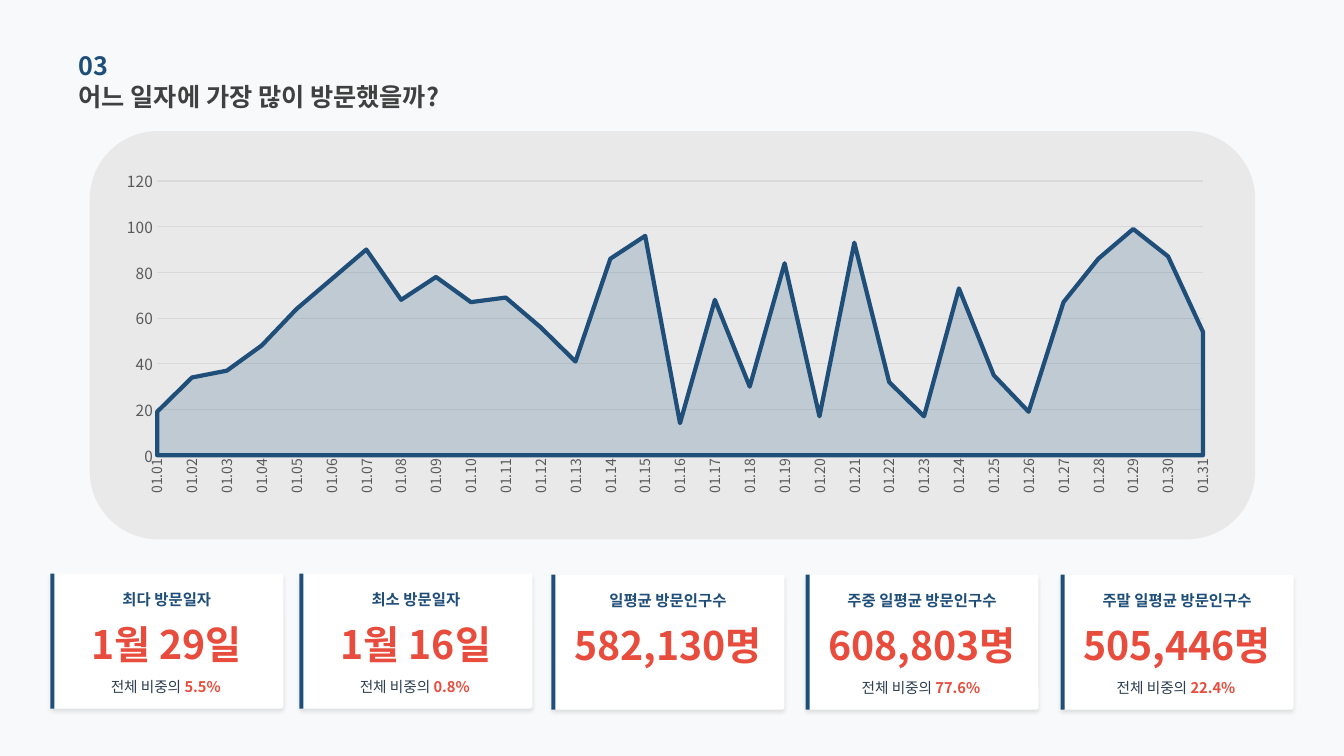
"""Build the slide on daily visitor numbers in January."""
from dataclasses import dataclass

from lxml.etree import SubElement
from pptx import Presentation
from pptx.chart.data import CategoryChartData
from pptx.dml.color import RGBColor
from pptx.enum.chart import XL_CHART_TYPE as CHART, XL_TICK_MARK as TICK
from pptx.enum.shapes import MSO_SHAPE as SHAPE
from pptx.enum.text import MSO_ANCHOR as ANCHOR, PP_ALIGN as ALIGN
from pptx.oxml import parse_xml
from pptx.oxml.ns import nsdecls, qn
from pptx.util import Inches, Pt

FONT = "Noto Sans CJK KR"
PAPER = RGBColor(0xF8, 0xF9, 0xFA)
WHITE = RGBColor(0xFF, 0xFF, 0xFF)
PANEL = RGBColor(0xD0, 0xCE, 0xCE)
NAVY = RGBColor(0x1F, 0x4E, 0x79)
RED = RGBColor(0xE7, 0x4C, 0x3C)
SLATE = RGBColor(0x2C, 0x3E, 0x50)
DARK = RGBColor(0x40, 0x40, 0x40)
GREY = RGBColor(0x59, 0x59, 0x59)
RULE = RGBColor(0xD9, 0xD9, 0xD9)
CARD_W, CARD_H = 2.31, 1.34
VISITS = (19, 34, 37, 48, 64, 77, 90, 68, 78, 67, 69, 56, 41, 86, 96, 14,
          68, 30, 84, 17, 93, 32, 17, 73, 35, 19, 67, 86, 99, 87, 54)


@dataclass
class Card:
    left: float
    top: float
    caption: str
    value: str
    share: str = ""


CARDS = (
    Card(0.5, 5.69, "최다 방문일자", "1월 29일", "5.5% "),
    Card(2.97, 5.69, "최소 방문일자", "1월 16일", "0.8% "),
    Card(5.47, 5.7, "일평균 방문인구수", "582,130명"),
    Card(7.99, 5.7, "주중 일평균 방문인구수", "608,803명", "77.6% "),
    Card(10.52, 5.7, "주말 일평균 방문인구수", "505,446명", "22.4% "),
)


def place(sp, left: float, top: float, width: float, height: float) -> None:
    sp.left, sp.top = Inches(left), Inches(top)
    sp.width, sp.height = Inches(width), Inches(height)


def style(font, size: float, color: RGBColor, bold: bool = False) -> None:
    font.name, font.size, font.bold = FONT, Pt(size), bold
    font.color.rgb = color


def set_alpha(fill_parent, percent: int) -> None:
    color = fill_parent.find(qn("a:solidFill"))[0]
    SubElement(color, qn("a:alpha"), val=str(percent * 1000))


def write(sp, text: str, size: float, color: RGBColor, bold: bool = True,
          align: ALIGN = ALIGN.LEFT, accent: str = "") -> None:
    tf = sp.text_frame
    tf.word_wrap, tf.vertical_anchor = True, ANCHOR.MIDDLE
    tf.margin_left = tf.margin_top = tf.margin_right = tf.margin_bottom = 0
    p = tf.paragraphs[0]
    p.alignment = align
    style(p.font, size, color, bold)
    for part in filter(None, (text, accent)):
        r = p.add_run()
        r.text = part
        if accent:
            style(r.font, size, RED if part == accent else color, part == accent)
        else:
            style(r.font, size, color, bold)
        SubElement(r.font._element, qn("a:ea"), typeface=FONT)


def add_text(s, left: float, top: float, width: float, height: float):
    return s.shapes.add_textbox(Inches(left), Inches(top), Inches(width), Inches(height))


def add_block(s, kind: SHAPE, left: float, top: float, width: float,
              height: float, color: RGBColor):
    sp = s.shapes.add_shape(kind, Inches(left), Inches(top), Inches(width), Inches(height))
    sp.fill.solid()
    sp.fill.fore_color.rgb = color
    sp.line.fill.background()
    sp.shadow.inherit = False
    return sp


def add_card(s, card: Card) -> None:
    sp = add_block(s, SHAPE.ROUNDED_RECTANGLE, card.left, card.top, CARD_W, CARD_H, WHITE)
    sp.adjustments[0] = 0.018
    effects = sp._element.spPr.find(qn("a:effectLst"))
    effects.append(parse_xml(
        f'<a:outerShdw {nsdecls("a")} blurRad="{Pt(3)}" dist="{Pt(2)}" dir="5400000" '
        'rotWithShape="0"><a:srgbClr val="000000"><a:alpha val="10000"/></a:srgbClr>'
        '</a:outerShdw>'))
    write(add_text(s, card.left + 0.1, card.top + 0.15, CARD_W - 0.2, 0.22),
          card.caption, 11, NAVY, align=ALIGN.CENTER)
    write(add_text(s, card.left, card.top + 0.51, CARD_W, 0.38),
          card.value, 28, RED, align=ALIGN.CENTER)
    if card.share:
        write(add_text(s, card.left + 0.5, card.top + 1.02, 1.32, 0.21),
              "전체 비중의 ", 10.5, SLATE, False, ALIGN.CENTER, card.share)
    add_block(s, SHAPE.RECTANGLE, card.left, card.top, 0.04, CARD_H, NAVY)


def add_visit_chart(s) -> None:
    data = CategoryChartData()
    data.categories = [f"01.{day:02}" for day in range(1, len(VISITS) + 1)]
    data.add_series("Series 1", VISITS)
    chart = s.shapes.add_chart(CHART.AREA, Inches(1.08), Inches(1.29),
                               Inches(11.13), Inches(4.08), data).chart
    chart.has_legend = chart.has_title = False
    style(chart.font, 10, GREY)

    series = chart.plots[0].series[0]
    series.format.fill.solid()
    series.format.fill.fore_color.rgb = NAVY
    set_alpha(series._element.spPr, 20)
    series.format.line.color.rgb = NAVY
    series.format.line.width = Pt(3)

    days, counts = chart.category_axis, chart.value_axis
    for axis, size in ((days, 10), (counts, 11)):
        axis.major_tick_mark = axis.minor_tick_mark = TICK.NONE
        style(axis.tick_labels.font, size, GREY)
    days.has_major_gridlines = False
    days._element.find(qn("c:txPr")).find(qn("a:bodyPr")).set("rot", "-5400000")
    counts.minimum_scale, counts.maximum_scale, counts.major_unit = 0, 120, 20
    counts.tick_labels.number_format = "General"
    counts.tick_labels.number_format_is_linked = False
    counts.format.line.fill.background()
    counts.has_major_gridlines = True
    for line in (days.format.line, counts.major_gridlines.format.line):
        line.color.rgb, line.width = RULE, Pt(0.75)
    counts._element.find(qn("c:crossBetween")).set("val", "midCat")

    plot_area = chart._chartSpace.chart.plotArea
    for old in plot_area.findall(qn("c:layout")):
        plot_area.remove(old)
    layout = parse_xml(f'<c:layout {nsdecls("c")}><c:manualLayout/></c:layout>')
    for tag, val in (("layoutTarget", "inner"), ("xMode", "edge"), ("yMode", "edge"),
                     ("x", "0.043"), ("y", "0.124"), ("w", "0.932"), ("h", "0.667")):
        SubElement(layout[0], qn(f"c:{tag}"), val=val)
    plot_area.insert(0, layout)


def main() -> None:
    prs = Presentation()
    prs.slide_width, prs.slide_height = Inches(13.33), Inches(7.5)
    s = prs.slides.add_slide(prs.slide_layouts[5])
    s.background.fill.solid()
    s.background.fill.fore_color.rgb = PAPER

    panel = add_block(s, SHAPE.ROUNDED_RECTANGLE, 0.89, 1.3, 11.56, 4.05, PANEL)
    set_alpha(panel._element.spPr, 36)
    place(s.shapes.title, 0.78, 0.75, 4.52, 0.41)
    write(s.shapes.title, "어느 일자에 가장 많이 방문했을까?", 18, DARK)
    write(add_text(s, 0.78, 0.44, 4.52, 0.41), "03", 18, NAVY)
    for card in CARDS:
        add_card(s, card)
    add_visit_chart(s)
    prs.save("out.pptx")


if __name__ == "__main__":
    main()
